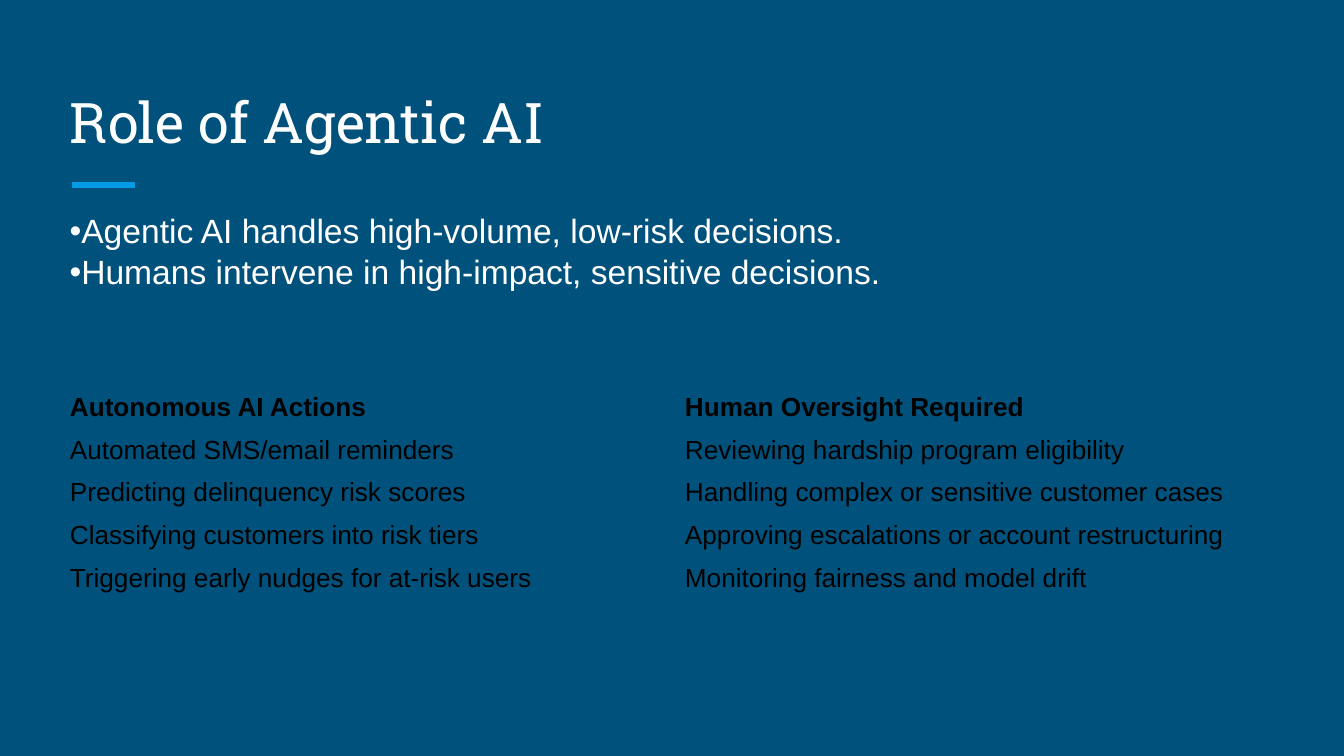
from lxml.etree import SubElement
from pptx import Presentation
from pptx.dml.color import RGBColor
from pptx.enum.shapes import MSO_CONNECTOR
from pptx.enum.text import MSO_ANCHOR, PP_ALIGN
from pptx.oxml.ns import qn
from pptx.util import Pt

TITLE = "Role of Agentic AI"
BULLETS = [
    "Agentic AI handles high-volume, low-risk decisions.",
    "Humans intervene in high-impact, sensitive decisions.",
]
ROWS = [
    ("Autonomous AI Actions", "Human Oversight Required"),
    ("Automated SMS/email reminders", "Reviewing hardship program eligibility"),
    ("Predicting delinquency risk scores", "Handling complex or sensitive customer cases"),
    ("Classifying customers into risk tiers", "Approving escalations or account restructuring"),
    ("Triggering early nudges for at-risk users", "Monitoring fairness and model drift"),
]
BACKGROUND, ACCENT, WHITE, BLACK = "00517C", "039BE5", "FFFFFF", "000000"
LEFT, CONTENT_WIDTH, INSET = 30.25, 659, 7.2
ROW_HEIGHT = 22.85


def color(value):
    return RGBColor.from_string(value)


def add_text(paragraph, text, size, font, fill, bold=False):
    paragraph.alignment = PP_ALIGN.LEFT
    run = paragraph.add_run()
    run.text = text
    run.font.size = Pt(size)
    run.font.name = font
    run.font.bold = bold
    run.font.color.rgb = color(fill)


def add_title(slide):
    title = slide.shapes.title
    title.left, title.top = Pt(LEFT), Pt(36)
    title.width, title.height = Pt(CONTENT_WIDTH), Pt(54)
    frame = title.text_frame
    frame.vertical_anchor = MSO_ANCHOR.BOTTOM
    frame.margin_left = frame.margin_right = Pt(INSET)
    frame.margin_top = frame.margin_bottom = Pt(INSET)
    add_text(frame.paragraphs[0], TITLE, 30, "Roboto Slab", WHITE)


def add_accent_line(slide):
    line = slide.shapes.add_connector(
        MSO_CONNECTOR.STRAIGHT, Pt(38.6), Pt(99), Pt(72.2), Pt(99))
    line.line.color.rgb = color(ACCENT)
    line.line.width = Pt(3)
    SubElement(line._element.spPr, qn("a:effectLst"))


def add_bullets(slide):
    box = slide.shapes.add_textbox(Pt(LEFT), Pt(108.7), Pt(454), Pt(51.2))
    frame = box.text_frame
    frame.word_wrap = True
    frame.vertical_anchor = MSO_ANCHOR.MIDDLE
    for index, text in enumerate(BULLETS):
        paragraph = frame.add_paragraph() if index else frame.paragraphs[0]
        paragraph.line_spacing = Pt(22)
        add_text(paragraph, text, 18, "Arial", WHITE)
        properties = paragraph._p.get_or_add_pPr()
        SubElement(properties, qn("a:buFont"), typeface="Arial")
        SubElement(properties, qn("a:buChar"), char="•")


def add_actions_table(slide):
    table = slide.shapes.add_table(
        len(ROWS), len(ROWS[0]), Pt(LEFT), Pt(206.6),
        Pt(CONTENT_WIDTH), Pt(ROW_HEIGHT * len(ROWS))).table
    table.first_row = table.horz_banding = False
    style = table._tbl.tblPr.find(qn("a:tableStyleId"))
    style.text = "{2D5ABB26-0587-4C30-8999-92F81FD0307C}"
    for row_index, texts in enumerate(ROWS):
        table.rows[row_index].height = Pt(ROW_HEIGHT)
        for column_index, text in enumerate(texts):
            cell = table.cell(row_index, column_index)
            cell.fill.background()
            cell.vertical_anchor = MSO_ANCHOR.MIDDLE
            add_text(cell.text_frame.paragraphs[0], text, 14, "Arial", BLACK, row_index == 0)


def main():
    presentation = Presentation()
    presentation.slide_width, presentation.slide_height = Pt(720), Pt(405)
    slide = presentation.slides.add_slide(presentation.slide_layouts[5])
    slide.background.fill.solid()
    slide.background.fill.fore_color.rgb = color(BACKGROUND)
    add_accent_line(slide)
    add_title(slide)
    add_actions_table(slide)
    add_bullets(slide)
    presentation.save("out.pptx")


if __name__ == "__main__":
    main()
